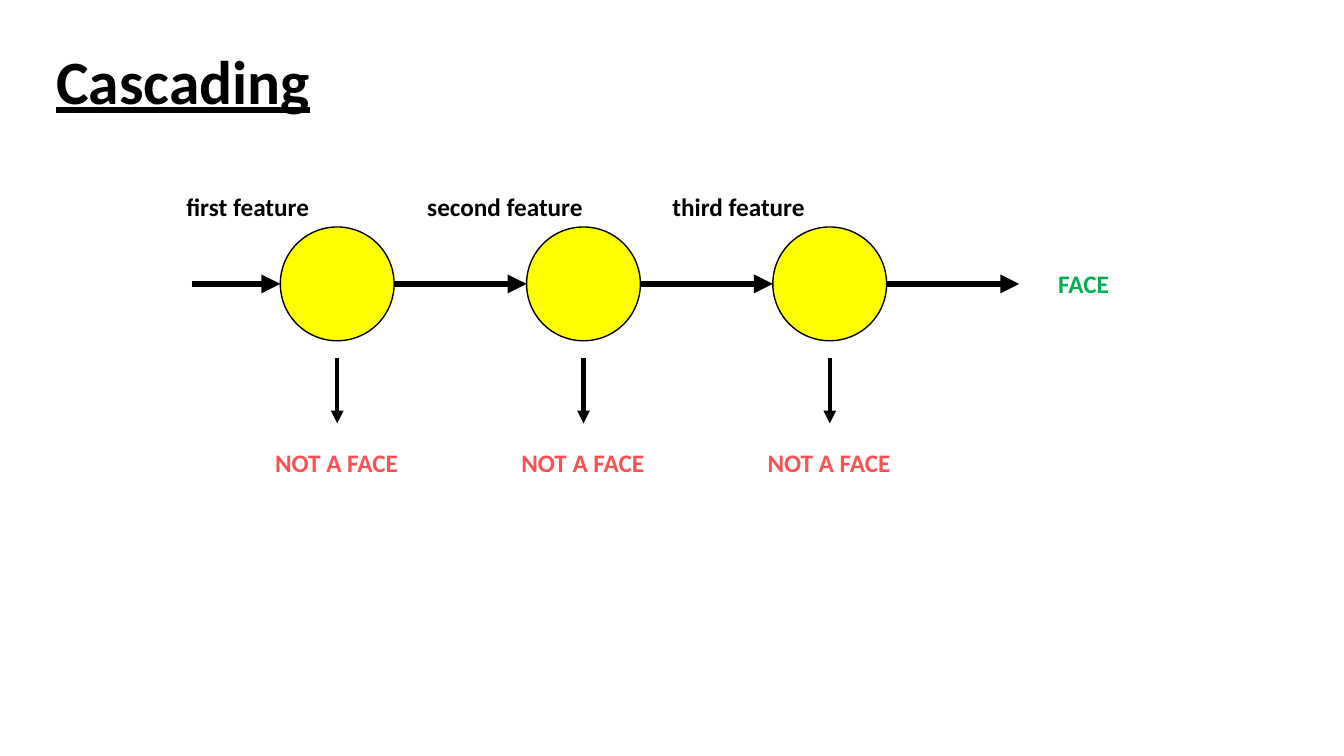
from lxml import etree
from pptx import Presentation
from pptx.dml.color import RGBColor
from pptx.enum.shapes import MSO_CONNECTOR, MSO_SHAPE
from pptx.enum.text import MSO_ANCHOR, MSO_AUTO_SIZE, PP_ALIGN
from pptx.oxml.ns import qn
from pptx.util import Pt

STRAIGHT = MSO_CONNECTOR.STRAIGHT
OVAL = MSO_SHAPE.OVAL
MIDDLE = MSO_ANCHOR.MIDDLE
FIT_SHAPE = MSO_AUTO_SIZE.SHAPE_TO_FIT_TEXT
NO_FIT = MSO_AUTO_SIZE.NONE
LEFT = PP_ALIGN.LEFT

COLORS = {"ink": "000000", "stage": "FFFF00", "reject": "FF5050", "accept": "00B050"}

TITLE_ONLY = 5
DIAMETER = 81.3
PITCH = 175.9
FIRST_CENTER = 240.9
FLOW_Y = 202.8
LABEL_HEIGHT = 29
REJECT_WIDTH = 103


class CascadeSlide:
    font = "Calibri"

    def __init__(self, slide):
        self.slide = slide

    def color(self, name):
        return RGBColor.from_string(COLORS[name])

    def add_run(self, paragraph, text, size, color):
        run = paragraph.add_run()
        run.text = text
        run.font.name = self.font
        run.font.size = Pt(size)
        run.font.bold = True
        run.font.color.rgb = self.color(color)
        return run

    def title(self, text, left, top, width, height):
        heading = self.slide.shapes.title
        heading.left, heading.top = Pt(left), Pt(top)
        heading.width, heading.height = Pt(width), Pt(height)
        frame = heading.text_frame
        frame.vertical_anchor = MIDDLE
        frame.auto_size = NO_FIT
        paragraph = frame.paragraphs[0]
        paragraph.alignment = LEFT
        paragraph.line_spacing = 0.9
        self.add_run(paragraph, text, 44, "ink").font.underline = True

    def label(self, text, left, top, width, color="ink"):
        box = self.slide.shapes.add_textbox(Pt(left), Pt(top), Pt(width), Pt(LABEL_HEIGHT))
        frame = box.text_frame
        frame.word_wrap = False
        frame.auto_size = FIT_SHAPE
        self.add_run(frame.paragraphs[0], text, 18, color)

    def stage(self, center):
        circle = self.slide.shapes.add_shape(
            OVAL, Pt(center - DIAMETER / 2), Pt(FLOW_Y - DIAMETER / 2), Pt(DIAMETER), Pt(DIAMETER))
        circle.shadow.inherit = False
        circle.fill.solid()
        circle.fill.fore_color.rgb = self.color("stage")
        circle.line.color.rgb = self.color("ink")
        circle.line.width = Pt(1)

    def arrow(self, x1, y1, x2, y2, weight):
        connector = self.slide.shapes.add_connector(STRAIGHT, Pt(x1), Pt(y1), Pt(x2), Pt(y2))
        connector.line.color.rgb = self.color("ink")
        connector.line.width = Pt(weight)
        etree.SubElement(connector.line._get_or_add_ln(), qn("a:tailEnd"), type="triangle")
        etree.SubElement(connector._element.spPr, qn("a:effectLst"))


def main():
    deck = Presentation()
    deck.slide_width, deck.slide_height = Pt(960), Pt(540)
    cascade = CascadeSlide(deck.slides.add_slide(deck.slide_layouts[TITLE_ONLY]))
    cascade.title("Cascading", 33, 8, 828, 104.4)

    features = [("first feature", 126, 103), ("second feature", 298.1, 126), ("third feature", 473.2, 110)]
    centers = [FIRST_CENTER + i * PITCH for i in range(len(features))]
    for center in centers:
        cascade.stage(center)

    flow_starts = [136.8] + [center + DIAMETER / 2 for center in centers]
    flow_ends = [center - DIAMETER / 2 for center in centers] + [728]
    for start, end in zip(flow_starts, flow_ends):
        cascade.arrow(start, FLOW_Y, end, FLOW_Y, 4.5)

    for center, (feature, left, width) in zip(centers, features):
        cascade.label(feature, left, 133.2, width)
        cascade.arrow(center, 255.6, center, 302.4, 3)
        cascade.label("NOT A FACE", center - REJECT_WIDTH / 2, 315.6, REJECT_WIDTH, "reject")
    cascade.label("FACE", 748.8, 188.2, 51, "accept")

    deck.save("out.pptx")


if __name__ == "__main__":
    main()
